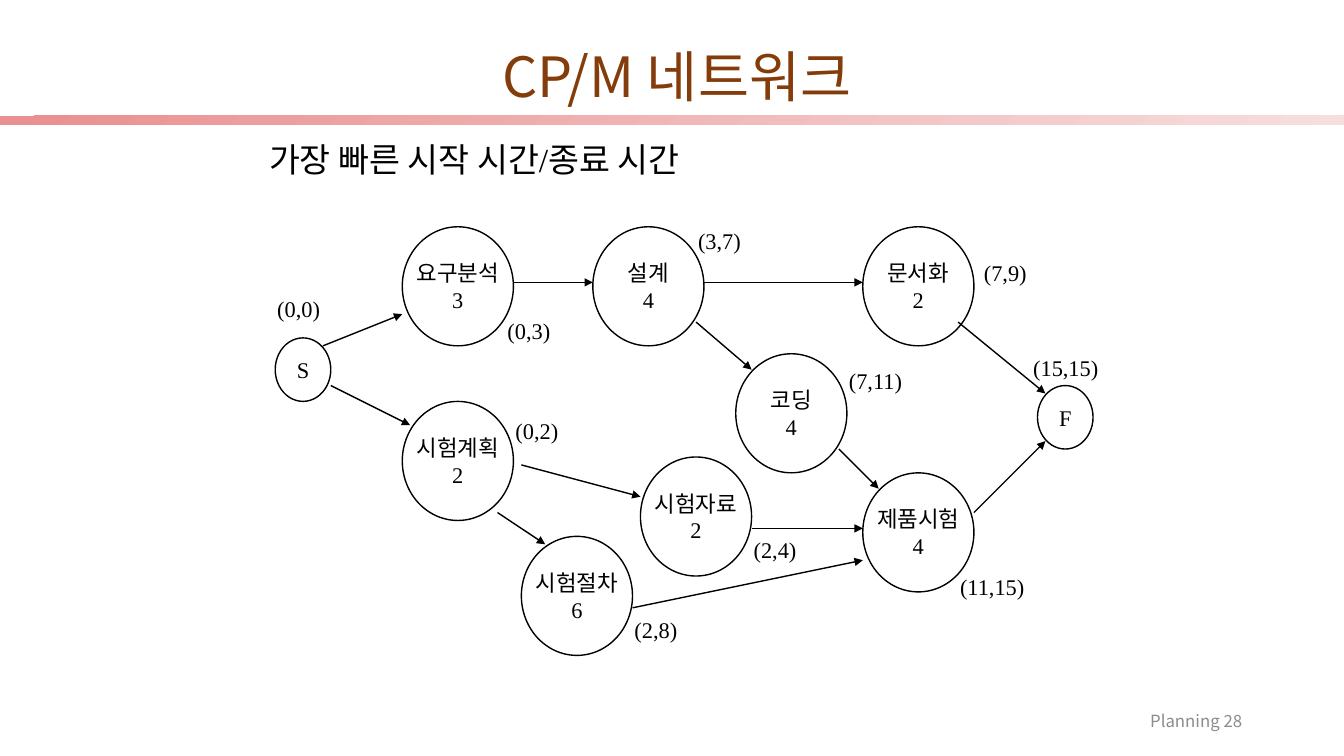
from lxml import etree
from pptx import Presentation
from pptx import util as u
from pptx.dml.color import RGBColor
from pptx.enum import shapes, text
from pptx.oxml.ns import qn

HUE = {"ink": "000000", "title": "843C0B", "foot": "8C8C8C",
       "dark": "E98F8F", "pale": "F7DEDE"}
SANS, SERIF = "Noto Sans CJK KR", "Times New Roman"
AL = text.PP_ALIGN

deck = Presentation()
deck.slide_width, deck.slide_height = u.Inches(13.33), u.Inches(7.5)
page = deck.slides.add_slide(deck.slide_layouts[5])

# Network grid: square cells, eight to the height of a small node
CELL, LEFT, TOP = 0.63 / 8, 2.73, 2.25


def spot(col, row):
    return u.Inches(LEFT + col * CELL), u.Inches(TOP + row * CELL)


def write(shape, words, size=16, face=SERIF, hue="ink", align=AL.LEFT,
          anchor=text.MSO_ANCHOR.TOP, wrap=False):
    frame = shape.text_frame
    form = {"text": words, "word_wrap": wrap, "vertical_anchor": anchor,
            "auto_size": text.MSO_AUTO_SIZE.NONE}
    for key, val in form.items():
        setattr(frame, key, val)
    for para in frame.paragraphs:
        para.alignment = align
        for run in para.runs:
            run.font.size, run.font.name = u.Pt(size), face
            run.font.color.rgb = RGBColor.from_string(HUE[hue])
            # East Asian face for the Korean letters
            east = etree.SubElement(run.font._element, qn("a:ea"))
            east.set("typeface", SANS)


# Gradient bar under the title
bar = page.shapes.add_shape(shapes.MSO_SHAPE.RECTANGLE, 0, u.Inches(1.15),
                            deck.slide_width, u.Inches(0.09))
bar.shadow.inherit = False
bar.line.fill.background()
bar.fill.gradient()
bar.fill.gradient_angle = 315
for stop, hue in zip(bar.fill.gradient_stops, ("dark", "pale")):
    stop.color.rgb = RGBColor.from_string(HUE[hue])
for stop, place in zip(bar.fill.gradient_stops, (0, 1)):
    stop.position = place

# Title
head = page.shapes.title
place = {"left": 0.6, "top": 0.48, "width": 12.22, "height": 0.61}
for key, val in place.items():
    setattr(head, key, u.Inches(val))
write(head, "CP/M 네트워크", 39.6, SANS, "title", AL.CENTER,
      text.MSO_ANCHOR.MIDDLE, True)
head.text_frame.paragraphs[0].line_spacing = 0.9

# Subtitle and footer
sub = page.shapes.add_textbox(*map(u.Inches, (2.57, 1.33, 4.63, 0.5)))
write(sub, "가장 빠른 시작 시간/종료 시간", 24)
foot = page.shapes.add_textbox(*map(u.Inches, (9.42, 6.95, 3, 0.4)))
write(foot, "Planning 28", 12, SANS, "foot", AL.RIGHT,
      text.MSO_ANCHOR.MIDDLE, True)

# Nodes: column, row, name, days (none for start and finish)
nodes = [
    (0, 14, "S", None), (96, 20, "F", None),
    (16, 0, "요구분석", 3), (40, 0, "설계", 4), (74, 0, "문서화", 2),
    (58, 16, "코딩", 4), (74, 31, "제품시험", 4), (16, 22, "시험계획", 2),
    (46, 29, "시험자료", 2), (31, 39, "시험절차", 6),
]
for col, row, name, days in nodes:
    wide, high = (14, 15) if days else (7, 8)
    node = page.shapes.add_shape(
        shapes.MSO_SHAPE.OVAL, *spot(col, row),
        u.Inches(wide * CELL), u.Inches(high * CELL))
    node.shadow.inherit = False
    node.fill.background()
    node.line.color.rgb = RGBColor.from_string(HUE["ink"])
    node.line.width = u.Pt(1)
    write(node, f"{name}\n{days}" if days else name, align=AL.CENTER,
          anchor=text.MSO_ANCHOR.MIDDLE)

# Arrows: from column, row to column, row
links = [
    (6, 15, 16, 11), (7, 20, 17, 25), (30, 7, 40, 7), (54, 7, 74, 7),
    (28, 36, 34, 40), (31, 30, 46, 34), (60, 38, 74, 38), (45, 48, 74, 42),
    (53, 12, 60, 18), (86, 12, 97, 21), (71, 28, 76, 33), (88, 36, 97, 27),
]
for link in links:
    line = page.shapes.add_connector(shapes.MSO_CONNECTOR.STRAIGHT,
                                     *spot(*link[:2]), *spot(*link[2:]))
    line.line.color.rgb = RGBColor.from_string(HUE["ink"])
    line.line.width = u.Pt(1)
    tip = etree.SubElement(line.line._get_or_add_ln(), qn("a:tailEnd"))
    for key, val in {"type": "triangle", "w": "med", "len": "med"}.items():
        tip.set(key, val)
    etree.SubElement(line._element.spPr, qn("a:effectLst"))

# Earliest start and finish times
times = [
    (-1, 8, 0, 0), (28, 10.7, 0, 3), (52, -0.6, 3, 7), (88, 3.4, 7, 9),
    (71, 17, 7, 11), (85, 43, 11, 15), (29, 23.4, 0, 2), (59, 38.4, 2, 4),
    (44, 48.4, 2, 8), (94.2, 15.4, 15, 15),
]
for col, row, start, end in times:
    words = f"({start},{end})"
    mark = page.shapes.add_textbox(
        *spot(col, row), u.Inches(0.08 + 0.11 * len(words)), u.Inches(0.37))
    write(mark, words)

deck.save("out.pptx")
